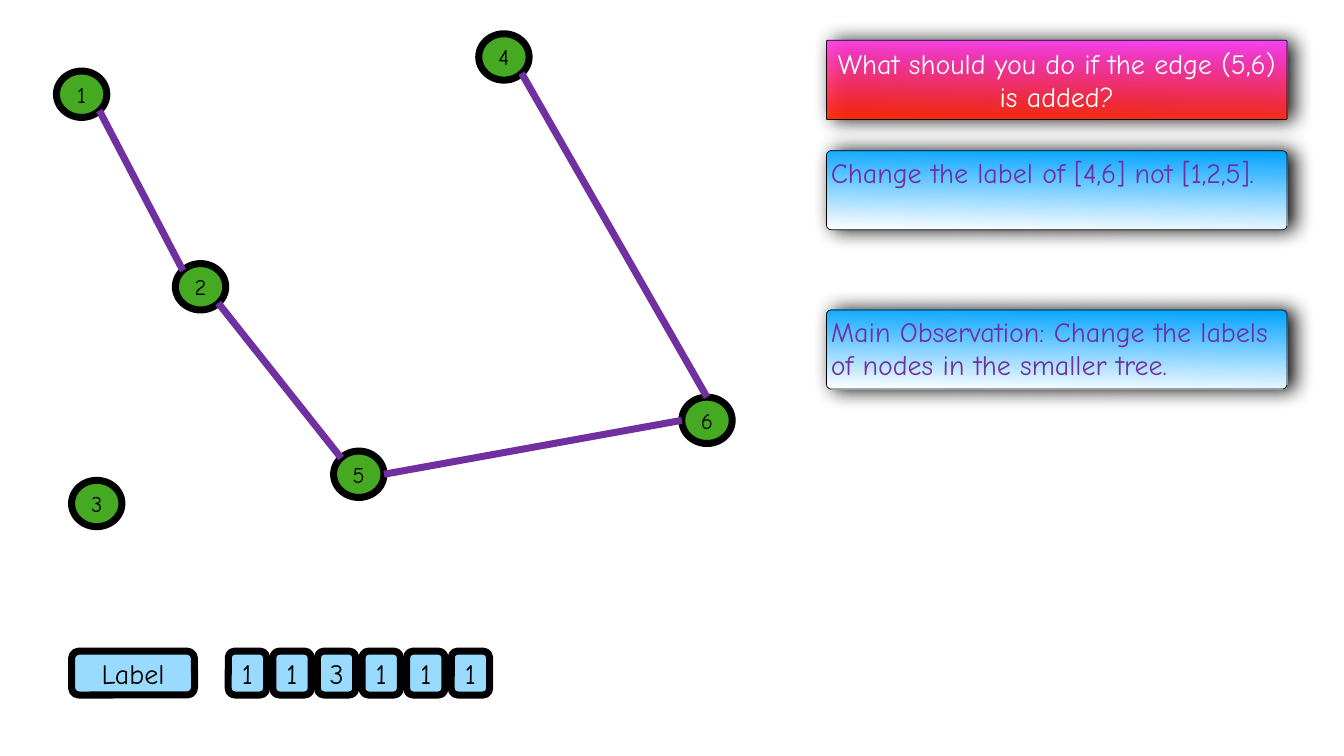
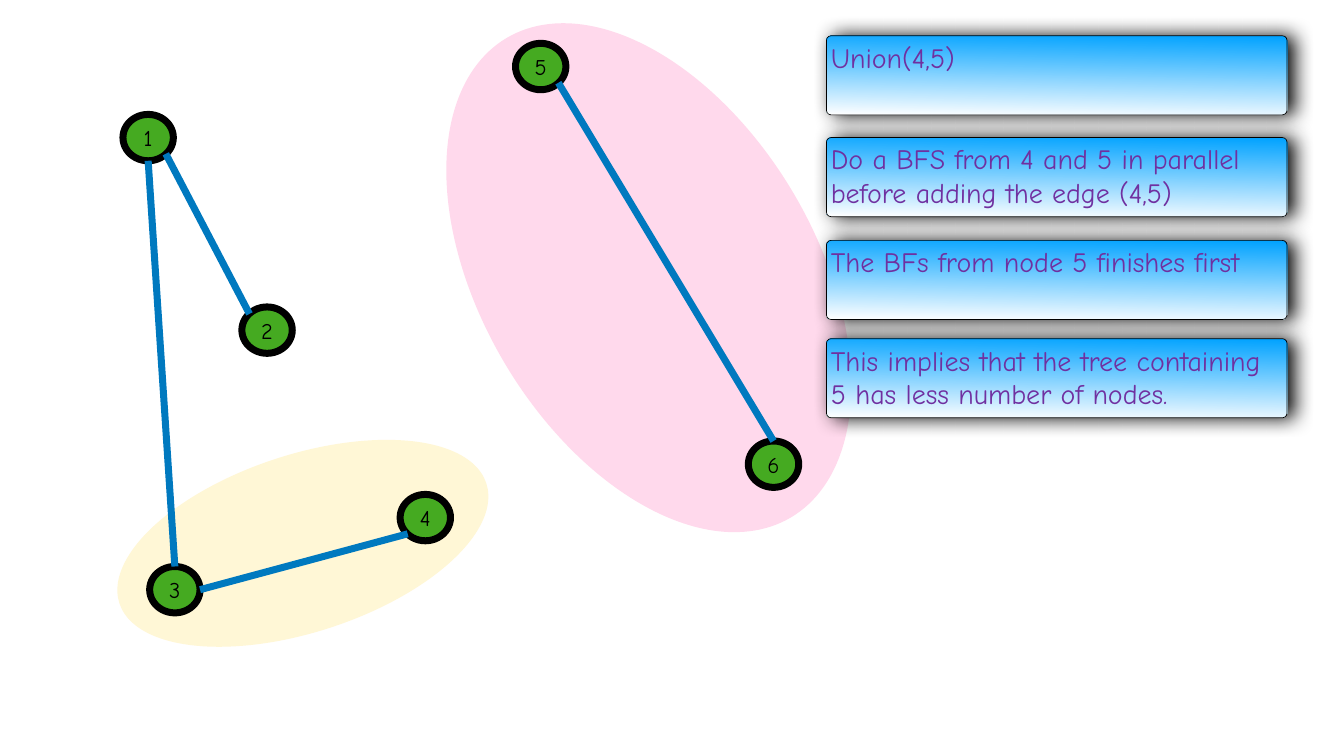
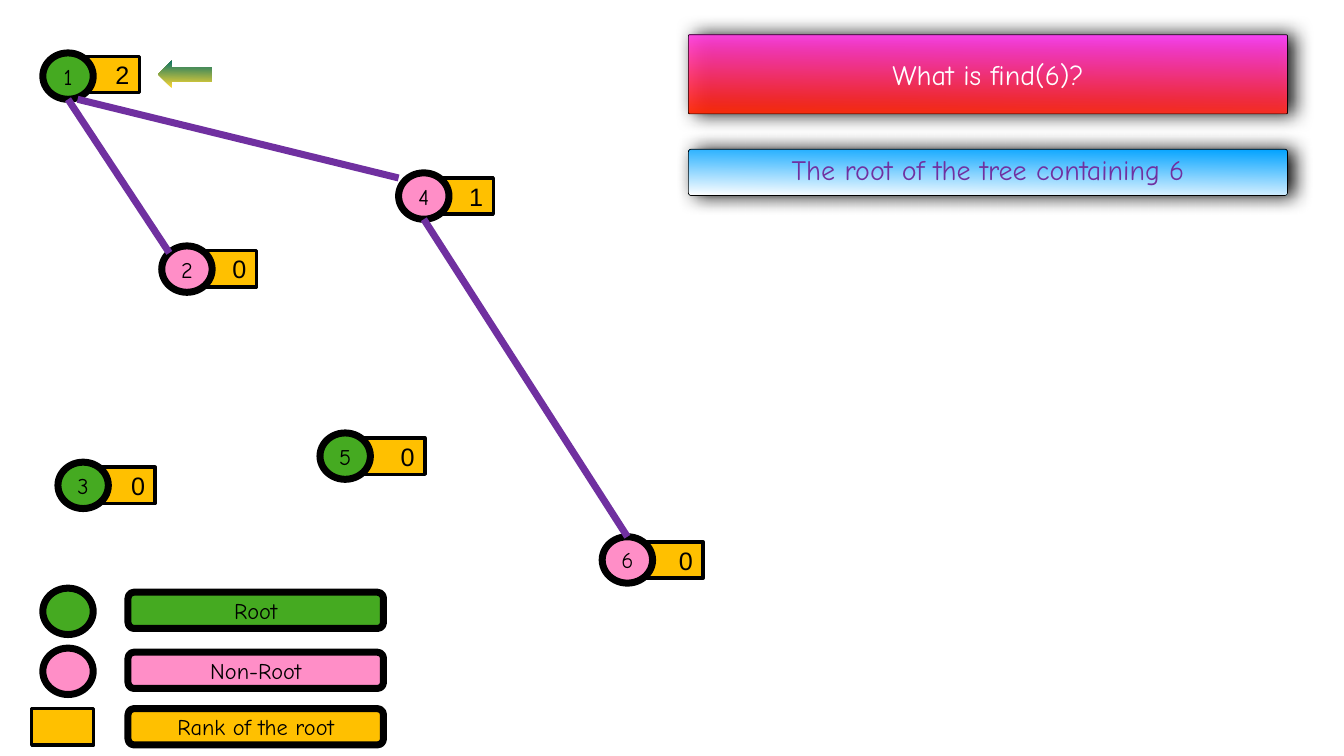
"""Build three slides on union-find trees: labels, parallel search and ranks."""
import lxml.etree
import pptx
import pptx.dml.color
import pptx.enum.shapes
import pptx.enum.text
import pptx.oxml.ns
import pptx.util

Inches = pptx.util.Inches
KIND = pptx.enum.shapes.MSO_SHAPE
ALIGN = pptx.enum.text.PP_ALIGN
ANCHOR = pptx.enum.text.MSO_ANCHOR
qn = pptx.oxml.ns.qn

HAND, PLAIN = "Comic Neue", "Arial"
BLACK, WHITE = "000000", "FFFFFF"
GREEN, PINK, GOLD, SKY = "45AA21", "FF8EC7", "FFC000", "99DAFF"
PURPLE, BLUE = "7030A0", "0079BF"
NODE = (1, 0.92)
RANK = (1.23, 0.72)
TALL = 1.57
SIDE = (16.4, 9.14)
WIDE = (13.66, 11.89)
STEP = 0.885

SITES = {
    "top": (0.5, 0), "left": (0, 0.5), "right": (1, 0.5), "base": (0.5, 1),
    "nw": (0.15, 0.15), "se": (0.85, 0.85), "sw": (0.15, 0.85),
    "wnw": (0, 0.11), "sse": (0.69, 1),
}

LABELS = {
    "nodes": {1: (1.12, 1.41), 2: (3.48, 5.23), 3: (1.42, 9.53),
              4: (9.5, 0.67), 5: (6.62, 8.95), 6: (13.53, 7.88)},
    "edges": [(2, "nw", 1, "se"), (5, "nw", 2, "se"),
              (6, "top", 4, "se"), (6, "left", 5, "right")],
    "ask": "What should you do if the edge (5,6) is added?",
    "notes": [(2.99, "Change the label of [4,6] not [1,2,5]."),
              (6.15, "Main Observation: Change the labels of nodes in the smaller tree.")],
    "array": "113111",
}

SEARCH = {
    "nodes": {1: (2.44, 2.27), 2: (4.8, 6.09), 3: (2.97, 11.24),
              4: (7.94, 9.81), 5: (10.23, 0.86), 6: (14.85, 8.75)},
    "edges": [(5, "se", 6, "top"), (2, "nw", 1, "se"),
              (3, "top", 1, "base"), (3, "right", 4, "sw")],
    "zones": [((9.55, -0.02, 6.65, 11.06), 329.3, "FFD9EC"),
              ((2.18, 9.02, 7.66, 3.52), 341.9, "FFF7D6")],
    "notes": [(0.71, "Union(4,5)"),
              (2.73, "Do a BFS from 4 and 5 in parallel before adding the edge (4,5)"),
              (4.77, "The BFs from node 5 finishes first"),
              (6.72, "This implies that the tree containing 5 has less number of nodes.")],
}

RANKS = {
    "nodes": {1: (0.85, 1.05), 2: (3.21, 4.88), 3: (1.15, 9.17),
              4: (7.91, 3.43), 5: (6.35, 8.59), 6: (11.95, 10.65)},
    "edges": [(6, "top", 4, "base"), (2, "nw", 1, "base"), (4, "wnw", 1, "sse")],
    "ranks": {1: (2, 1.54, 1.12), 2: (0, 3.86, 4.97), 3: (0, 1.85, 9.27),
              4: (1, 8.56, 3.53), 5: (0, 7.2, 8.69), 6: (0, 12.72, 10.75)},
    "leaves": {2, 4, 6},
    "key": [("Root", GREEN, 11.75), ("Non-Root", PINK, 12.94),
            ("Rank of the root", GOLD, 14.06)],
    "ask": "What is find(6)?",
    "note": "The root of the tree containing 6",
}


def rgb(code):
    """Turn a hex string into a colour."""
    return pptx.dml.color.RGBColor.from_string(code)


def write(shape, text, size=32, font=HAND, color=BLACK,
          align=ALIGN.CENTER, anchor=ANCHOR.MIDDLE, inset=0.06):
    """Put formatted text into a shape."""
    frame = shape.text_frame
    frame.word_wrap = True
    frame.vertical_anchor = anchor
    frame.margin_left = Inches(inset)
    frame.margin_right = frame.margin_top = frame.margin_bottom = Inches(0.06)
    para = frame.paragraphs[0]
    para.alignment = align
    run = para.add_run()
    run.text = text
    run.font.size = pptx.util.Pt(size)
    run.font.name = font
    run.font.color.rgb = rgb(color)


def fade(color, share):
    """Make a solid or stop colour partly see-through."""
    lxml.etree.SubElement(color, qn("a:alpha"), val=str(share * 1000))


def draw(slide, kind, box, fill, line=None, turn=0):
    """Add a shape filled with one colour or with a pair as a gradient."""
    shape = slide.shapes.add_shape(kind, *map(Inches, box))
    shape.shadow.inherit = False
    shape.rotation = turn
    if isinstance(fill, str):
        shape.fill.solid()
        shape.fill.fore_color.rgb = rgb(fill)
    else:
        shape.fill.gradient()
        shape.fill.gradient_angle = 269
        for stop, code in zip(shape.fill.gradient_stops, fill):
            stop.color.rgb = rgb(code)
    if line:
        shape.line.color.rgb = rgb(BLACK)
        shape.line.width = pptx.util.Pt(line)
    else:
        shape.line.fill.background()
    return shape


def panel(slide, box, fill, bend):
    """Add a gradient panel with a soft shadow to its right."""
    shape = draw(slide, KIND.ROUNDED_RECTANGLE, box, fill, 1)
    shape.adjustments[0] = bend
    glow = lxml.etree.SubElement(
        shape.element.spPr.find(qn("a:effectLst")), qn("a:outerShdw"),
        blurRad=str(pptx.util.Pt(28)), dist=str(pptx.util.Pt(9)),
        dir="0", algn="ctr", rotWithShape="0")
    fade(lxml.etree.SubElement(glow, qn("a:srgbClr"), val=BLACK), 97)
    return shape


def ask(slide, text, left, top, width):
    """Add a question panel."""
    shape = panel(slide, (left, top, width, TALL), ("FF40FF", "FF2600"), 0.017)
    for color in shape.element.spPr.findall(".//" + qn("a:gs") + "/" + qn("a:srgbClr")):
        fade(color, 93)
    fade(shape.element.spPr.find(qn("a:ln")).find(".//" + qn("a:srgbClr")), 93)
    write(shape, text, size=40, color=WHITE)


def note(slide, text, left, top, width, high=TALL, align=ALIGN.LEFT):
    """Add an answer panel."""
    shape = panel(slide, (left, top, width, high), ("00A2FF", WHITE), 0.059)
    write(shape, text, size=40, color=PURPLE, align=align, anchor=ANCHOR.TOP)


def graph(slide, data, color):
    """Draw numbered nodes and the edges between their sites."""
    nodes = data["nodes"]
    for num, spot in nodes.items():
        fill = PINK if num in data.get("leaves", ()) else GREEN
        write(draw(slide, KIND.OVAL, spot + NODE, fill, 10), str(num))

    def end(num, site):
        """Find the point of a site on a node."""
        return [Inches(at + part * size)
                for at, part, size in zip(nodes[num], SITES[site], NODE)]

    for tail, out, head, into in data["edges"]:
        edge = slide.shapes.add_connector(
            pptx.enum.shapes.MSO_CONNECTOR.STRAIGHT, *end(tail, out), *end(head, into))
        edge.line.color.rgb = rgb(color)
        edge.line.width = pptx.util.Pt(10)
        lxml.etree.SubElement(edge.element.spPr, qn("a:effectLst"))


def labels(slide):
    """Show the label array and which labels change."""
    graph(slide, LABELS, PURPLE)
    cells = [("Label", 1.42, 2.44)]
    cells += [(text, 4.53 + STEP * i, 0.76) for i, text in enumerate(LABELS["array"])]
    for text, left, width in cells:
        cell = draw(slide, KIND.ROUNDED_RECTANGLE, (left, 12.92, width, 0.87), SKY, 10)
        write(cell, text, size=40)
    ask(slide, LABELS["ask"], SIDE[0], 0.8, SIDE[1])
    for top, text in LABELS["notes"]:
        note(slide, text, SIDE[0], top, SIDE[1])


def search(slide):
    """Show the two searches as tinted zones."""
    for box, turn, fill in SEARCH["zones"]:
        draw(slide, KIND.OVAL, box, fill, turn=turn)
    graph(slide, SEARCH, BLUE)
    for top, text in SEARCH["notes"]:
        note(slide, text, SIDE[0], top, SIDE[1])


def ranks(slide):
    """Show the ranked trees with their key."""
    for rank, left, top in RANKS["ranks"].values():
        tag = draw(slide, KIND.RECTANGLE, (left, top) + RANK, GOLD, 5)
        write(tag, str(rank), size=36, font=PLAIN, inset=0.61)
    graph(slide, RANKS, PURPLE)
    for text, fill, top in RANKS["key"]:
        if fill == GOLD:
            draw(slide, KIND.RECTANGLE, (0.63, top) + RANK, fill, 5)
        else:
            draw(slide, KIND.OVAL, (0.85, top - 0.08) + NODE, fill, 10)
        write(draw(slide, KIND.ROUNDED_RECTANGLE, (2.54, top, 5.07, 0.72), fill, 10), text)
    draw(slide, KIND.RIGHT_ARROW, (3.14, 1.21, 1.07, 0.53), ("FFD932", "0B7468"), turn=180)
    ask(slide, RANKS["ask"], WIDE[0], 0.69, WIDE[1])
    note(slide, RANKS["note"], WIDE[0], 2.96, WIDE[1], high=0.92, align=ALIGN.CENTER)


def main():
    """Build and save the deck."""
    deck = pptx.Presentation()
    deck.slide_width, deck.slide_height = Inches(26.67), Inches(15)
    for build in (labels, search, ranks):
        build(deck.slides.add_slide(deck.slide_layouts[6]))
    deck.save("out.pptx")


if __name__ == "__main__":
    main()
